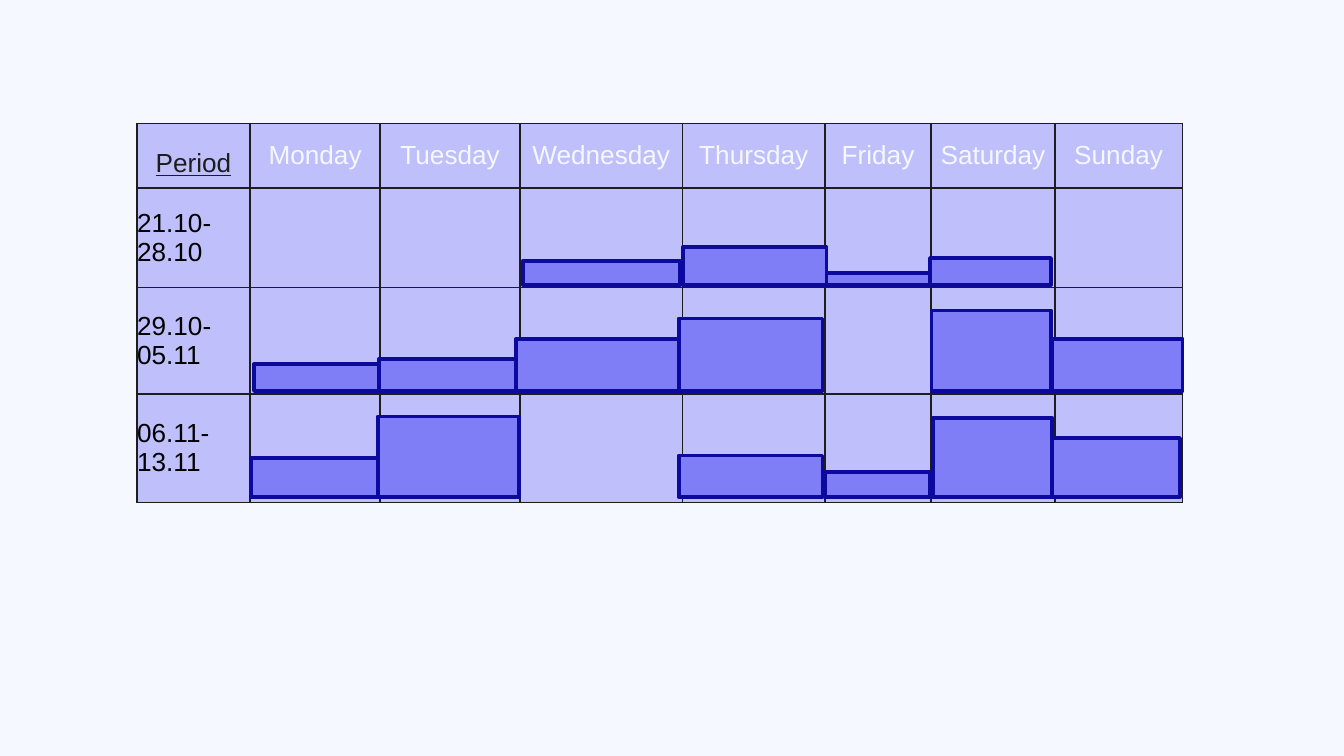
from lxml import etree
from pptx import Presentation
from pptx.dml.color import RGBColor
from pptx.enum.shapes import MSO_SHAPE
from pptx.enum.text import MSO_ANCHOR, PP_ALIGN
from pptx.oxml.ns import qn
from pptx.util import Inches, Pt

RECT = MSO_SHAPE.RECTANGLE
MIDDLE = MSO_ANCHOR.MIDDLE
CENTER, LEFT = PP_ALIGN.CENTER, PP_ALIGN.LEFT

PAPER, INK, BLACK = "F5F8FF", "1D1D1D", "000000"
CELL, BAR, EDGE = "BFBFFB", "807EF7", "0C0A9E"

HEADS = ["Period", "Monday", "Tuesday", "Wednesday", "Thursday",
         "Friday", "Saturday", "Sunday"]
DATES = ["21.10-28.10", "29.10-05.11", "06.11-13.11"]
COLS = [0.84, 0.97, 1.04, 1.21, 1.06, 0.79, 0.92, 0.95]
ROWS = [0.48, 0.74, 0.79, 0.81]

BARS = [
    (1.2, [(2.87, 1.17, 0.18), (4.06, 1.07, 0.28), (5.13, 0.78, 0.09),
           (5.9, 0.9, 0.2)]),
    (1.99, [(0.87, 0.93, 0.2), (1.8, 1.07, 0.24), (2.82, 1.22, 0.39),
            (4.03, 1.07, 0.54), (5.91, 0.89, 0.6), (6.81, 0.97, 0.39)]),
    (2.78, [(1.79, 1.05, 0.6), (0.85, 0.94, 0.29), (4.03, 1.07, 0.31),
            (5.12, 0.78, 0.19), (5.92, 0.89, 0.59), (6.81, 0.95, 0.44)]),
]


def paint(fill, color):
    fill.solid()
    fill.fore_color.rgb = RGBColor.from_string(color)


def frame(cell):
    props = cell._tc.get_or_add_tcPr()
    for side in ("a:lnL", "a:lnR", "a:lnT", "a:lnB"):
        line = etree.SubElement(props, qn(side), w=str(Pt(1)))
        fill = etree.SubElement(line, qn("a:solidFill"))
        etree.SubElement(fill, qn("a:srgbClr"), val=INK)


def write(cell, text, color, align):
    cell.margin_left = cell.margin_right = 0
    cell.margin_top = cell.margin_bottom = 0
    cell.vertical_anchor = MIDDLE
    para = cell.text_frame.paragraphs[0]
    para.text = text
    para.alignment = align
    font = para.runs[0].font
    font.name, font.size, font.bold = "Arial", Pt(14), False
    font.color.rgb = RGBColor.from_string(color)
    return para


def add_grid(slide, left, top, width, height):
    grid = slide.shapes.add_table(
        len(ROWS), len(COLS), Inches(left), Inches(top),
        Inches(width), Inches(height)).table
    for col, size in zip(grid.columns, COLS):
        col.width = Inches(size)
    for row, size in zip(grid.rows, ROWS):
        row.height = Inches(size)
    for cell in grid.iter_cells():
        frame(cell)
        paint(cell.fill, CELL)
    for col, text in enumerate(HEADS):
        para = write(grid.cell(0, col), text, PAPER if col else INK, CENTER)
        if col == 0:
            para.line_spacing = 1.5
            para.runs[0].font.underline = True
    for row, text in enumerate(DATES, 1):
        write(grid.cell(row, 0), text, BLACK, LEFT)


def add_bars(slide, left, top):
    for base, bars in BARS:
        for x, width, height in bars:
            bar = slide.shapes.add_shape(
                RECT, Inches(left + x), Inches(top + base - height),
                Inches(width), Inches(height))
            bar.shadow.inherit = False
            paint(bar.fill, BAR)
            paint(bar.line.fill, EDGE)
            bar.line.width = Pt(2)


def main():
    deck = Presentation()
    deck.slide_width = Inches(10)
    deck.slide_height = deck.slide_width * 9 // 16
    slide = deck.slides.add_slide(deck.slide_layouts[6])
    paint(slide.background.fill, PAPER)
    left, top = 1.02, 0.92
    add_grid(slide, left, top, sum(COLS), sum(ROWS))
    add_bars(slide, left, top)
    deck.save("out.pptx")


if __name__ == "__main__":
    main()
